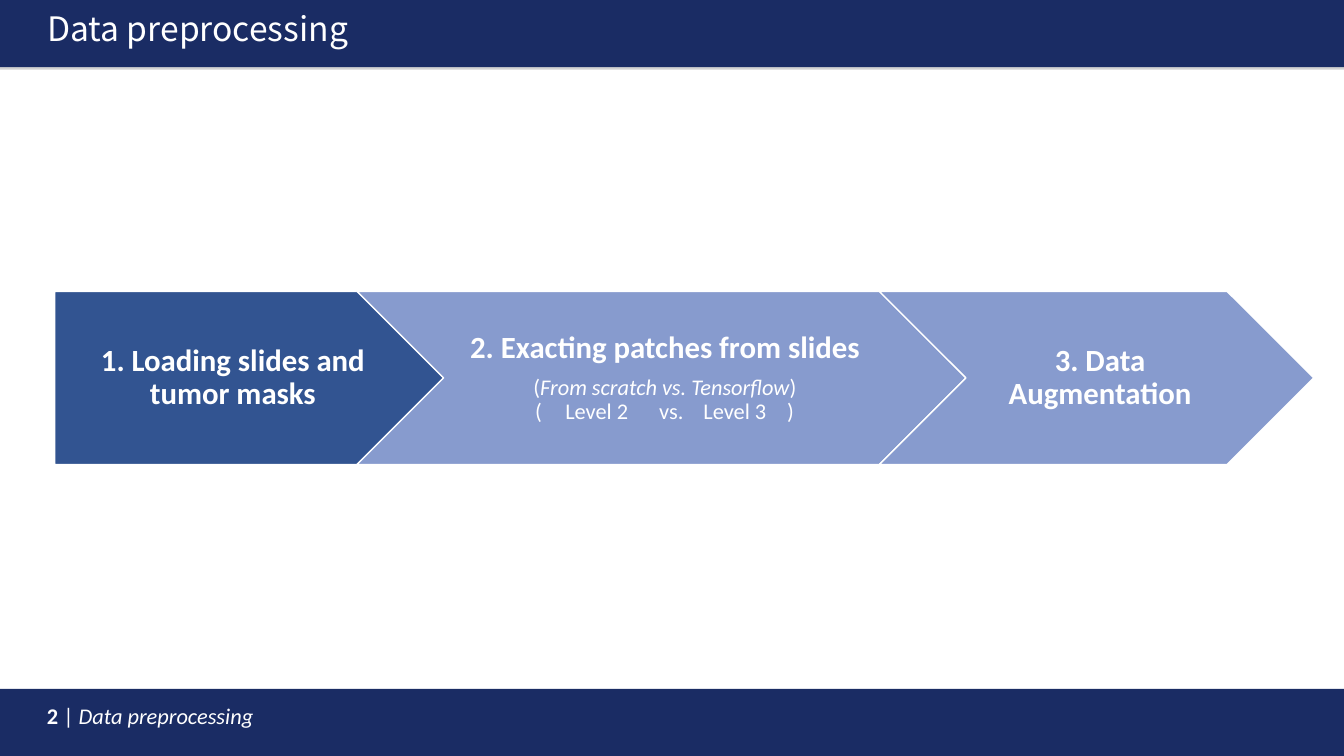
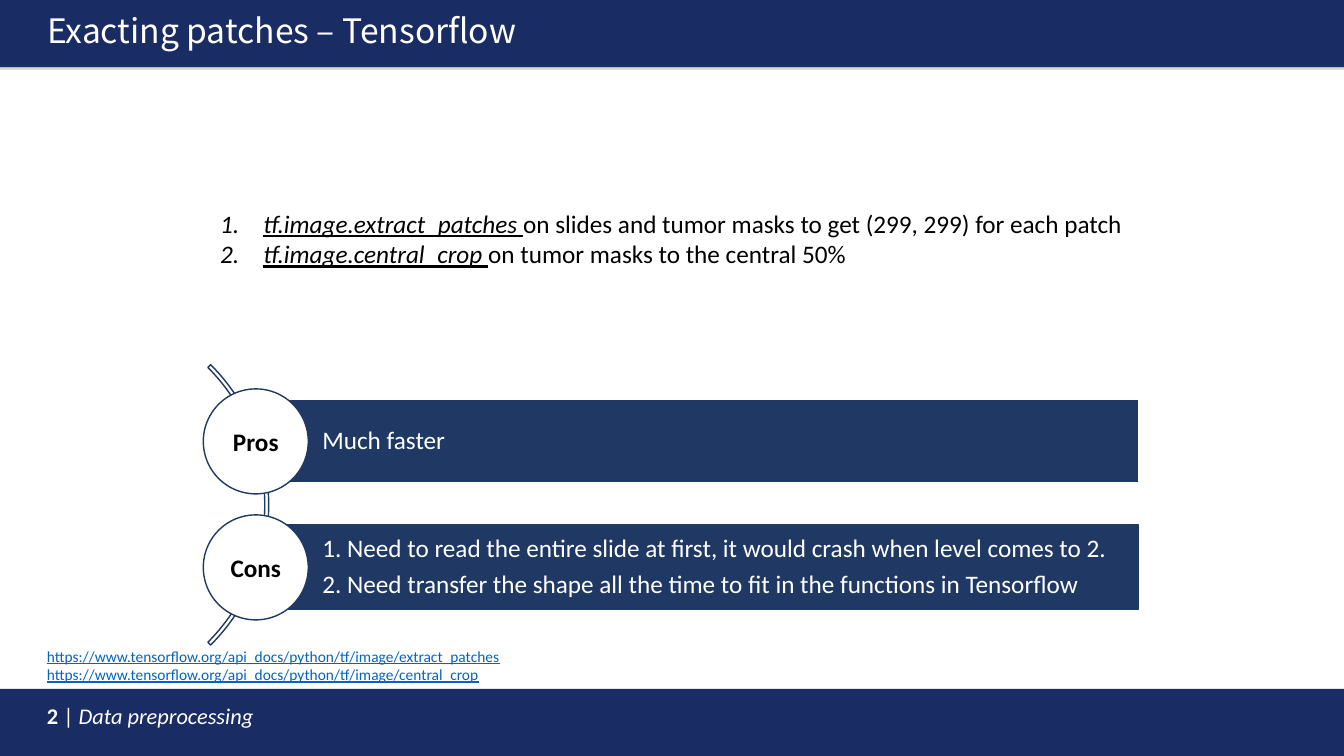
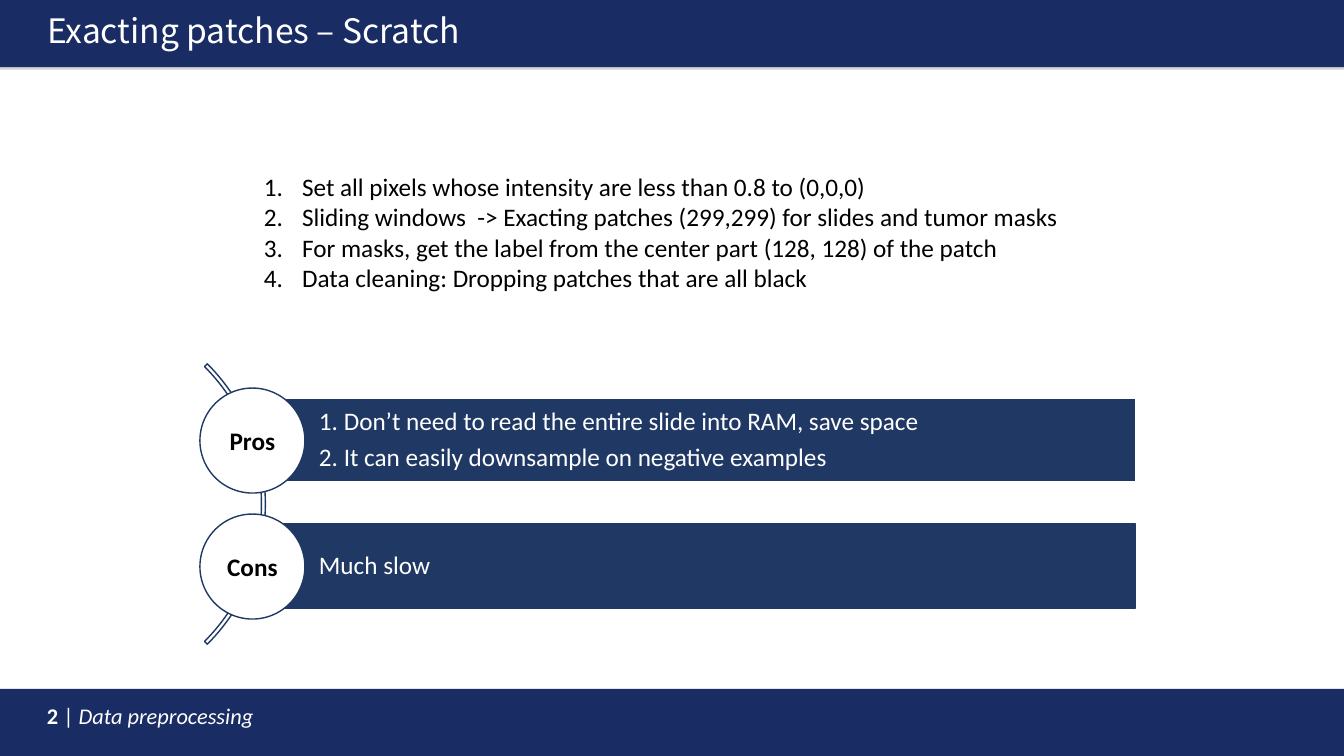
"""Build three slides on preparing image data, laid out on an 80 by 45 grid."""
import dataclasses

import pptx
import pptx.dml.color
import pptx.enum.shapes
import pptx.enum.text
import pptx.oxml
import pptx.util

SHAPE = pptx.enum.shapes.MSO_SHAPE
ALIGN = pptx.enum.text.PP_ALIGN
ANCHOR = pptx.enum.text.MSO_ANCHOR
NS = 'xmlns:a="http://schemas.openxmlformats.org/drawingml/2006/main"'


@dataclasses.dataclass(frozen=True)
class Theme:
    band: str = "1A2C64"
    navy: str = "203864"
    deep: str = "325491"
    pale: str = "879BCE"
    link: str = "0563C1"
    shade: str = "808080"
    white: str = "FFFFFF"
    black: str = "000000"
    head: str = "Noto Sans CJK KR"
    text: str = "Calibri"
    title: int = 24
    step: int = 22
    body: int = 18
    small: int = 16
    tiny: int = 11


class Deck:
    def __init__(self, look):
        self.look = look
        self.prs = pptx.Presentation()
        self.prs.slide_width = pptx.util.Inches(13.33)
        self.prs.slide_height = pptx.util.Inches(7.5)
        self.slide = None

    def cells(self, *box):
        wide, high = self.prs.slide_width / 80, self.prs.slide_height / 45
        return [int(n * unit) for n, unit in zip(box, (wide, high) * 2)]

    def color(self, code):
        return pptx.dml.color.RGBColor.from_string(code)

    def xml(self, node, *parts):
        for part in parts:
            name, rest = part.split(" ", 1)
            node.append(pptx.oxml.parse_xml(f"<a:{name} {NS} {rest}"))

    def frame(self, shape, pad=(0.1, 0.05, 0.1, 0.05), anchor=ANCHOR.TOP):
        frame = shape.text_frame
        frame.word_wrap = True
        frame.auto_size = pptx.enum.text.MSO_AUTO_SIZE.NONE
        frame.vertical_anchor = anchor
        sides = [pptx.util.Inches(n) for n in pad]
        (frame.margin_left, frame.margin_top,
         frame.margin_right, frame.margin_bottom) = sides
        return frame

    def fill(self, frame, rows, size, ink, face=None, bold=False, line=False,
             align=ALIGN.LEFT, space=1.0, after=0, hang=0, tabs=()):
        for row in rows:
            para = frame.add_paragraph() if frame.text else frame.paragraphs[0]
            props = para._p.get_or_add_pPr()
            if hang:
                inset = pptx.util.Inches(hang)
                props.set("marL", str(inset))
                props.set("indent", str(-inset))
                self.xml(props, f'buFont typeface="{self.look.text}"/>',
                         'buAutoNum type="arabicPeriod"/>')
            if tabs:
                stops = "".join(f'<a:tab pos="{pptx.util.Inches(n)}" algn="l"/>'
                                for n in tabs)
                self.xml(props, f"tabLst >{stops}</a:tabLst>")
            para.alignment = align
            para.line_spacing = space
            para.space_before = pptx.util.Pt(0)
            para.space_after = pptx.util.Pt(after)
            font = para.font
            font.name = face or self.look.text
            font.size = pptx.util.Pt(size)
            font.color.rgb = self.color(ink)
            font.bold = bold
            if line:
                font.underline = True
            for words, marks in [(row, "")] if isinstance(row, str) else row:
                run = para.add_run()
                run.text = words
                if "b" in marks:
                    run.font.bold = True
                if "i" in marks:
                    run.font.italic = True
                if "u" in marks:
                    run.font.underline = True

    def shape(self, kind, box, fill=None, line=None):
        shape = self.slide.shapes.add_shape(kind, *self.cells(*box))
        shape.shadow.inherit = False
        if fill:
            shape.fill.solid()
            shape.fill.fore_color.rgb = self.color(fill)
        else:
            shape.fill.background()
        if line:
            shape.line.color.rgb = self.color(line)
            shape.line.width = pptx.util.Pt(1)
        else:
            shape.line.fill.background()
        return shape

    def place(self, shape, box):
        shape.left, shape.top, shape.width, shape.height = self.cells(*box)
        return self.frame(shape)

    def label(self, box, rows, **style):
        shape = self.slide.shapes.add_textbox(*self.cells(*box))
        self.fill(self.frame(shape), rows, **style)

    def band(self, top):
        shape = self.shape(SHAPE.RECTANGLE, (0, top, 80, 4), self.look.band)
        effect = shape._element.spPr[-1]
        self.xml(effect, 'outerShdw blurRad="0" dist="22860" dir="5400000" '
                 f'rotWithShape="0"><a:srgbClr val="{self.look.shade}">'
                 '<a:alpha val="35000"/></a:srgbClr></a:outerShdw>')
        self.slide.shapes._spTree.insert(2, shape._element)

    def page(self, title, top=0.7, body=False):
        layout = self.prs.slide_layouts[1 if body else 5]
        self.slide = self.prs.slides.add_slide(layout)
        self.band(0)
        self.band(41)
        look, lead = self.look, pptx.util.Pt(24)
        head = self.place(self.slide.shapes.title, (2.2, top, 59.3, 2.6))
        self.fill(head, [title], look.title, look.white, look.head, space=lead)
        foot = [("2 ", "b"), ("| ", ""), ("Data preprocessing", "i")]
        self.label((2.2, 41.1, 59.3, 2.6), [foot], size=look.small,
                   ink=look.white, space=lead)

    def items(self, box, rows, hang=0.38):
        frame = self.place(self.slide.placeholders[1], box)
        self.fill(frame, rows, self.look.body, self.look.black, hang=hang)

    def step(self, kind, left, wide, fill, text, pad=0.1):
        look = self.look
        shape = self.shape(kind, (left, 17.35, wide, 10.3), fill, look.white)
        frame = self.frame(shape, (pad, 0.06, 0.03, 0.06), ANCHOR.MIDDLE)
        self.fill(frame, [text], look.step, look.white, bold=True,
                  align=ALIGN.CENTER, space=0.9, after=7.7)
        return frame

    def fan(self, left, top, pros, cons):
        look, disc = self.look, 6.25
        arc = self.shape(SHAPE.BLOCK_ARC, (left - 19.7, top - 4.9, 23.6, 23.6),
                         line=look.navy)
        for spot, value in enumerate((189, 27, 0.01)):
            arc.adjustments[spot] = value
        parts = (("Pros", pros, look.white), ("Cons", cons, look.navy))
        for spot, (name, rows, edge) in enumerate(parts):
            row = top + 7.5 * spot
            bar = self.shape(SHAPE.RECTANGLE,
                             (left + disc / 2, row + 0.6, 52.55, 5),
                             look.navy, edge)
            frame = self.frame(bar, (0.66, 0.05, 0.05, 0.05), ANCHOR.MIDDLE)
            self.fill(frame, rows, look.body, look.white, space=0.9, after=6.3)
            dot = self.shape(SHAPE.OVAL, (left, row, disc, disc),
                             look.white, look.navy)
            frame = self.frame(dot, (0, 0, 0, 0), ANCHOR.MIDDLE)
            self.fill(frame, [name], look.body, look.black, bold=True,
                      align=ALIGN.CENTER)


def steps(deck):
    look = deck.look
    deck.page("Data preprocessing", top=0.55)
    deck.step(SHAPE.PENTAGON, 3.25, 23.2, look.deep,
              "1. Loading slides and tumor masks", pad=0.13)
    frame = deck.step(SHAPE.CHEVRON, 21.25, 36.25, look.pale,
                      "2. Exacting patches from slides")
    ways = [("(", ""), ("From scratch vs. Tensorflow", "i"), (")", "")]
    deck.fill(frame, [ways], look.small, look.white,
              align=ALIGN.CENTER, space=0.9)
    deck.fill(frame, ["\t(\tLevel 2\tvs.\tLevel 3\t)"], look.small, look.white,
              space=0.9, tabs=(0.81, 1.11, 2.04, 2.48, 3.31))
    deck.step(SHAPE.CHEVRON, 52.35, 25.85, look.pale, "3. Data Augmentation")


def library(deck):
    look = deck.look
    deck.page("Exacting patches – Tensorflow", body=True)
    deck.items((12.5, 12.1, 55.4, 4.3), [
        [("tf.image.extract_patches ", "iu"),
         ("on slides and tumor masks to get (299, 299) for each patch", "")],
        [("tf.image.central_crop ", "iu"),
         ("on tumor masks to the central 50%", "")],
    ], hang=0.43)
    root = "https://www.tensorflow.org/api_docs/python/tf/image/"
    deck.label((2.2, 38.2, 40, 2.8),
               [root + name for name in ("extract_patches", "central_crop")],
               size=look.tiny, ink=look.link, line=True)
    deck.fan(12.1, 23.15, ["Much faster"], [
        "1. Need to read the entire slide at first, it would crash when level comes to 2.",
        "2. Need transfer the shape all the time to fit in the functions in Tensorflow",
    ])


def scratch(deck):
    deck.page("Exacting patches – Scratch", body=True)
    deck.items((15.1, 9.9, 49.3, 7.9), [
        "Set all pixels whose intensity are less than 0.8 to (0,0,0)",
        "Sliding windows  -> Exacting patches (299,299) for slides and tumor masks",
        "For masks, get the label from the center part (128, 128) of the patch",
        "Data cleaning: Dropping patches that are all black",
    ])
    deck.fan(11.9, 23.1, [
        "1. Don’t need to read the entire slide into RAM, save space",
        "2. It can easily downsample on negative examples",
    ], ["Much slow"])


def main():
    deck = Deck(Theme())
    for build in (steps, library, scratch):
        build(deck)
    deck.prs.save("out.pptx")


if __name__ == "__main__":
    main()
